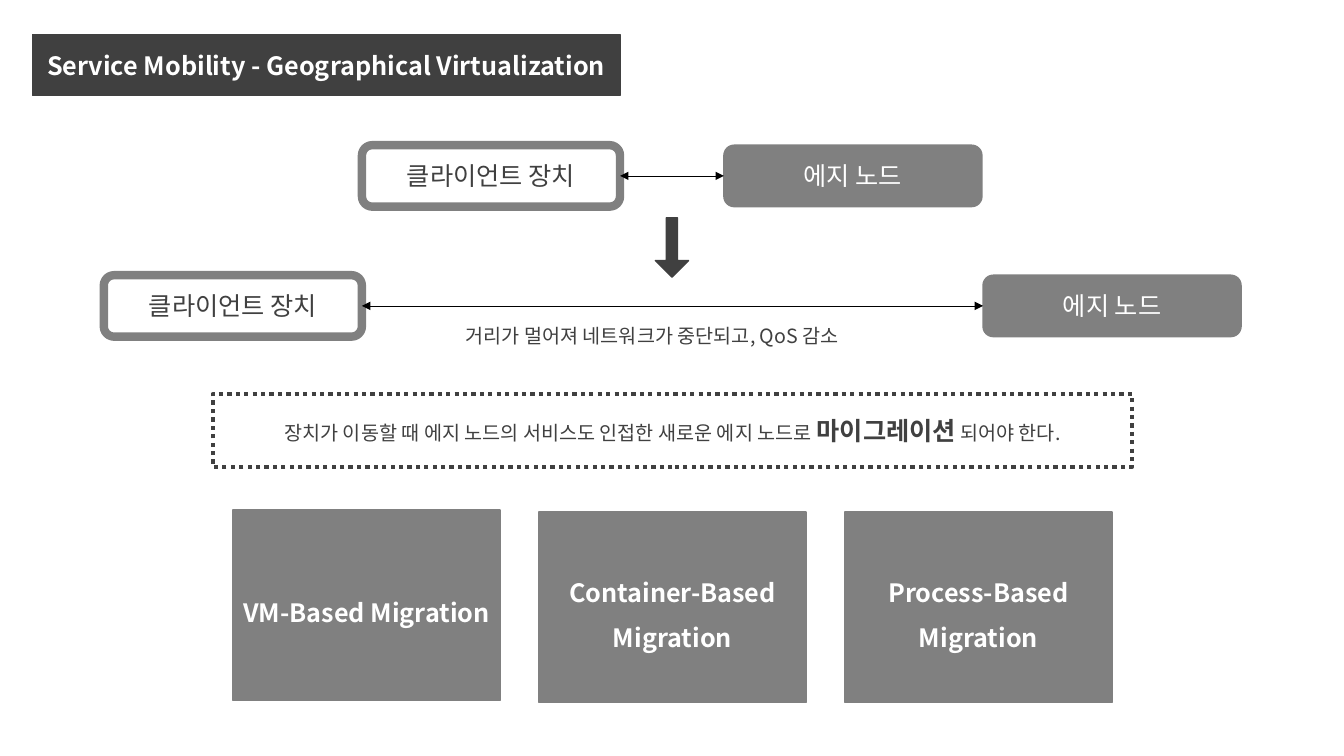
"""Build the slide on service mobility and migration between edge nodes."""
import lxml.etree
import pptx
import pptx.dml.color
import pptx.enum.dml
import pptx.enum.shapes
import pptx.enum.text
import pptx.oxml.ns
import pptx.util

Inches = pptx.util.Inches
Pt = pptx.util.Pt
RGBColor = pptx.dml.color.RGBColor
Shape = pptx.enum.shapes.MSO_SHAPE
Align = pptx.enum.text.PP_ALIGN
AutoSize = pptx.enum.text.MSO_AUTO_SIZE
qn = pptx.oxml.ns.qn

TITLE = "Service Mobility - Geographical Virtualization"
CLIENT = "클라이언트 장치"
EDGE = "에지 노드"
DISTANCE_NOTE = "거리가 멀어져 네트워크가 중단되고, QoS 감소"
REQUIREMENT = [
    ("장치가 이동할 때 에지 노드의 서비스도 인접한 새로운 에지 노드로 ", 14, False),
    ("마이그레이션", 18, True),
    (" 되어야 한다.", 14, False),
]
LINKS = [(3.59, 7.18, 1.44), (1.03, 9.75, 2.73)]
MIGRATIONS = [
    ("VM-Based Migration", 5.06),
    ("Container-Based Migration", 5.08),
    ("Process-Based Migration", 5.08),
]
NODE_WIDTH, NODE_HEIGHT = 2.56, 0.61
CARD_LEFT, CARD_STEP, CARD_WIDTH, CARD_HEIGHT = 2.31, 3.035, 2.65, 1.89

FONT = "Noto Sans CJK KR"
DARK = RGBColor(0x40, 0x40, 0x40)
GRAY = RGBColor(0x80, 0x80, 0x80)
WHITE = RGBColor(0xFF, 0xFF, 0xFF)
BLACK = RGBColor(0, 0, 0)


def format_run(run, size, color, bold=False):
    run.font.size = Pt(size)
    run.font.bold = bold
    run.font.color.rgb = color
    run.font.name = FONT
    east_asian = lxml.etree.SubElement(run.font._element, qn("a:ea"))
    east_asian.set("typeface", FONT)


def paint(shape, fill, line, width):
    shape.fill.solid()
    shape.fill.fore_color.rgb = fill
    shape.line.color.rgb = line
    shape.line.width = Pt(width)


def write(shape, runs, color, spacing=1.0):
    frame = shape.text_frame
    frame.word_wrap = True
    frame.auto_size = AutoSize.NONE
    frame.vertical_anchor = pptx.enum.text.MSO_ANCHOR.MIDDLE
    frame.margin_left = frame.margin_right = Inches(0.08)
    paragraph = frame.paragraphs[0]
    paragraph.alignment = Align.CENTER
    paragraph.line_spacing = spacing
    for text, size, bold in runs:
        run = paragraph.add_run()
        run.text = text
        format_run(run, size, color, bold)


def add_box(slide, kind, box, fill, line, width=1):
    shape = slide.shapes.add_shape(kind, *map(Inches, box))
    shape.shadow.inherit = False
    paint(shape, fill, line, width)
    return shape


def add_node(slide, text, left, top, fill, color, width):
    box = (left, top, NODE_WIDTH, NODE_HEIGHT)
    node = add_box(slide, Shape.ROUNDED_RECTANGLE, box, fill, GRAY, width)
    write(node, [(text, 18, False)], color)
    return node


def add_link(slide, client, edge):
    link = slide.shapes.add_connector(pptx.enum.shapes.MSO_CONNECTOR.STRAIGHT, 0, 0, 0, 0)
    link.begin_connect(client, 3)
    link.end_connect(edge, 1)
    link.line.color.rgb = BLACK
    link.line.width = Pt(0.5)
    line = link.line._get_or_add_ln()
    for end in ("a:headEnd", "a:tailEnd"):
        lxml.etree.SubElement(line, qn(end)).set("type", "triangle")
    lxml.etree.SubElement(link._element.spPr, qn("a:effectLst"))


presentation = pptx.Presentation()
presentation.slide_width = Inches(13.33)
presentation.slide_height = Inches(7.5)
slide = presentation.slides.add_slide(presentation.slide_layouts[5])

title = slide.shapes.title
title.left, title.top, title.width, title.height = map(Inches, (0.32, 0.34, 5.83, 0.61))
paint(title, DARK, DARK, 1)
write(title, [(TITLE, 18, True)], WHITE)

for client_left, edge_left, top in LINKS:
    client = add_node(slide, CLIENT, client_left, top, WHITE, DARK, 6)
    edge = add_node(slide, EDGE, edge_left, top, GRAY, WHITE, 1)
    add_link(slide, client, edge)

arrow = add_box(slide, Shape.DOWN_ARROW, (6.5, 2.16, 0.33, 0.59), DARK, DARK)
arrow.adjustments[0] = 0.332

note = slide.shapes.add_textbox(*map(Inches, (4.52, 3.16, 4.3, 0.34)))
note.text_frame.text = DISTANCE_NOTE
note.text_frame.word_wrap = False
note.text_frame.auto_size = AutoSize.SHAPE_TO_FIT_TEXT
format_run(note.text_frame.paragraphs[0].runs[0], 14, DARK)

requirement = add_box(slide, Shape.RECTANGLE, (2.11, 3.91, 9.12, 0.72), WHITE, DARK, 3)
requirement.line.dash_style = pptx.enum.dml.MSO_LINE.ROUND_DOT
write(requirement, REQUIREMENT, DARK)

for index, (text, top) in enumerate(MIGRATIONS):
    box = (CARD_LEFT + index * CARD_STEP, top, CARD_WIDTH, CARD_HEIGHT)
    card = add_box(slide, Shape.RECTANGLE, box, GRAY, GRAY)
    write(card, [(text, 18, True)], WHITE, 1.5)

presentation.save("out.pptx")
